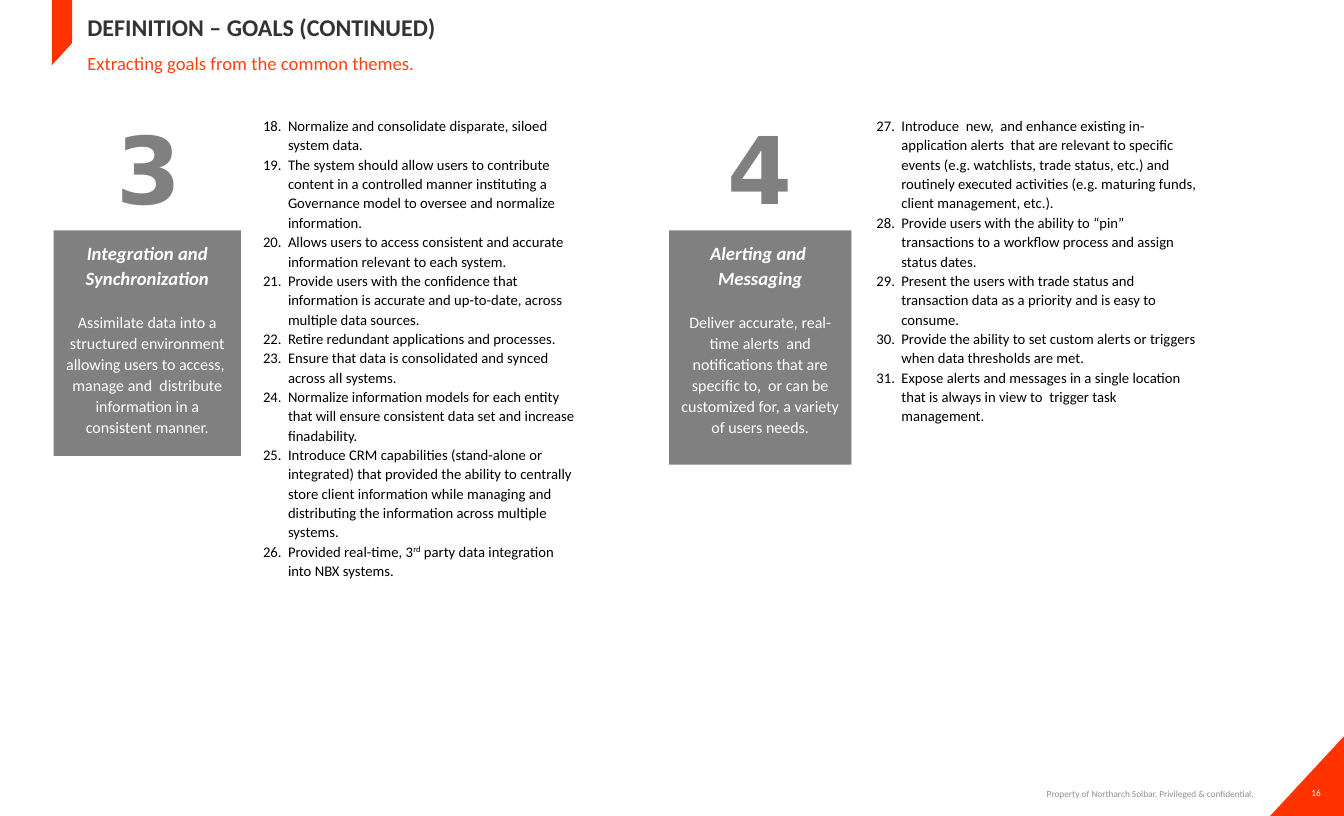
from dataclasses import dataclass

from lxml.etree import SubElement
from pptx import Presentation
from pptx.dml.color import RGBColor as Rgb
from pptx.enum.shapes import MSO_SHAPE as Preset
from pptx.enum.text import MSO_ANCHOR as Anchor, PP_ALIGN as Align
from pptx.oxml.ns import qn
from pptx.shapes.autoshape import Shape
from pptx.slide import Slide
from pptx.text.text import TextFrame, _Paragraph as Paragraph
from pptx.util import Inches, Pt


@dataclass(frozen=True)
class Theme:
    body_font: str = "Calibri"
    numeral_font: str = "DejaVu Sans"
    accent: str = "FF3300"
    subtitle: str = "FF4215"
    title: str = "333333"
    panel: str = "808080"
    footer: str = "909090"
    ink: str = "000000"
    white: str = "FFFFFF"
    title_size: int = 18
    heading_size: int = 14
    summary_size: int = 12
    goal_size: int = 11
    footer_size: int = 7
    numeral_size: int = 70
    line_spacing: float = 1.1


@dataclass(frozen=True)
class Box:
    left: float
    top: float
    width: float
    height: float

    def lengths(self) -> tuple[int, ...]:
        return tuple(Inches(v) for v in (self.left, self.top, self.width, self.height))


@dataclass(frozen=True)
class Theme_Goals:
    numeral: str
    heading: tuple[str, ...]
    summary: str
    first_goal: int
    goals: tuple[str, ...]
    numeral_box: Box
    panel_box: Box
    goals_box: Box


THEME = Theme()
SUPERSCRIPT = "^"
LABEL_INSETS = (0.06, 0.03, 0.06, 0.03)

SECTIONS = (
    Theme_Goals(
        "3",
        ("Integration and Synchronization",),
        "Assimilate data into a structured environment allowing users to access,  "
        "manage and  distribute information in a consistent manner.",
        18,
        (
            "Normalize and consolidate disparate, siloed system data.",
            "The system should allow users to contribute content in a controlled manner "
            "instituting a Governance model to oversee and normalize information.",
            "Allows users to access consistent and accurate information relevant to each system.",
            "Provide users with the confidence that information is accurate and up-to-date, "
            "across multiple data sources.",
            "Retire redundant applications and processes.",
            "Ensure that data is consolidated and synced across all systems.",
            "Normalize information models for each entity that will ensure consistent data set "
            "and increase finadability.",
            "Introduce CRM capabilities (stand-alone or integrated) that provided the ability to "
            "centrally store client information while managing and distributing the information "
            "across multiple systems.",
            "Provided real-time, 3^rd^ party data integration into NBX systems.",
        ),
        Box(0.78, 0.85, 1.55, 1.79),
        Box(0.56, 2.4, 1.95, 2.35),
        Box(2.74, 1.2, 3.28, 1.77),
    ),
    Theme_Goals(
        "4",
        ("Alerting and ", "Messaging"),
        "Deliver accurate, real-time alerts  and notifications that are specific to,  "
        "or can be customized for, a variety of users needs.",
        27,
        (
            "Introduce  new,  and enhance existing in-application alerts  that are relevant to "
            "specific events (e.g. watchlists, trade status, etc.) and routinely executed "
            "activities (e.g. maturing funds, client management, etc.).",
            "Provide users with the ability to “pin” transactions to a workflow process "
            "and assign status dates.",
            "Present the users with trade status and transaction data as a priority "
            "and is easy to consume.",
            "Provide the ability to set custom alerts or triggers when data thresholds are met.",
            "Expose alerts and messages in a single location that is always in view to  "
            "trigger task management.",
        ),
        Box(6.97, 0.85, 1.9, 1.79),
        Box(6.97, 2.4, 1.9, 2.44),
        Box(9.13, 1.2, 3.37, 1.77),
    ),
)


def style(line: Paragraph, size: int, color: str, align: Align = Align.LEFT,
          bold: bool = False, italic: bool = False, face: str = THEME.body_font) -> None:
    line.alignment = align
    font = line.font
    font.name, font.size, font.bold, font.italic = face, Pt(size), bold, italic
    font.color.rgb = Rgb.from_string(color)


def set_frame(frame: TextFrame, insets: tuple[float, ...],
              anchor: Anchor = Anchor.TOP, wrap: bool = True) -> None:
    frame.word_wrap = wrap
    frame.vertical_anchor = anchor
    (frame.margin_left, frame.margin_top,
     frame.margin_right, frame.margin_bottom) = map(Inches, insets)


def paint(shape: Shape, color: str | None) -> None:
    shape.shadow.inherit = False
    shape.line.fill.background()
    if color:
        shape.fill.solid()
        shape.fill.fore_color.rgb = Rgb.from_string(color)
    else:
        shape.fill.background()


def add_label(slide: Slide, box: Box, text: str, size: int, color: str,
              align: Align = Align.LEFT, bold: bool = False,
              anchor: Anchor = Anchor.MIDDLE,
              insets: tuple[float, ...] = LABEL_INSETS) -> None:
    frame = slide.shapes.add_textbox(*box.lengths()).text_frame
    set_frame(frame, insets, anchor)
    frame.text = text
    style(frame.paragraphs[0], size, color, align, bold)


def add_numeral(slide: Slide, section: Theme_Goals) -> None:
    circle = slide.shapes.add_shape(Preset.OVAL, *section.numeral_box.lengths())
    paint(circle, None)
    set_frame(circle.text_frame, (0.1, 0.05, 0.1, 0.05), Anchor.MIDDLE, wrap=False)
    circle.text_frame.text = section.numeral
    style(circle.text_frame.paragraphs[0], THEME.numeral_size, THEME.panel,
          Align.CENTER, bold=True, face=THEME.numeral_font)


def add_panel(slide: Slide, section: Theme_Goals) -> None:
    panel = slide.shapes.add_shape(Preset.RECTANGLE, *section.panel_box.lengths())
    paint(panel, THEME.panel)
    set_frame(panel.text_frame, (0.1,) * 4)
    panel.text_frame.text = "\n".join((*section.heading, section.summary))
    *headings, summary = panel.text_frame.paragraphs
    for heading in headings:
        style(heading, THEME.heading_size, THEME.white, Align.CENTER, bold=True, italic=True)
        heading.line_spacing = THEME.line_spacing
    style(summary, THEME.summary_size, THEME.white, Align.CENTER)
    summary.line_spacing = THEME.line_spacing
    summary.space_before = Pt(16)


def add_goals(slide: Slide, section: Theme_Goals) -> None:
    frame = slide.shapes.add_textbox(*section.goals_box.lengths()).text_frame
    set_frame(frame, (0,) * 4)
    for index, goal in enumerate(section.goals):
        line = frame.add_paragraph() if index else frame.paragraphs[0]
        for part, text in enumerate(goal.split(SUPERSCRIPT)):
            run = line.add_run()
            run.text = text
            if part % 2:
                run._r.get_or_add_rPr().set("baseline", "30000")
        line.line_spacing = THEME.line_spacing
        properties = line._p.get_or_add_pPr()
        properties.set("marL", str(Inches(0.26)))
        properties.set("indent", str(-Inches(0.26)))
        SubElement(properties, qn("a:buFont"), typeface="+mj-lt")
        SubElement(properties, qn("a:buAutoNum"), type="arabicPeriod",
                   startAt=str(section.first_goal))
        style(line, THEME.goal_size, THEME.ink)


def add_frame_art(slide: Slide) -> None:
    corner = slide.shapes.add_shape(Preset.RIGHT_TRIANGLE, *Box(13.2, 7.7, 0.83, 0.77).lengths())
    corner.rotation = 270
    paint(corner, THEME.accent)
    outline = slide.shapes.build_freeform(Inches(0.54), 0)
    outline.add_line_segments(
        [(Inches(x), Inches(y)) for x, y in ((0.75, 0), (0.75, 0.45), (0.54, 0.68))])
    paint(outline.convert_to_shape(), THEME.accent)


def main() -> None:
    deck = Presentation()
    deck.slide_width, deck.slide_height = Inches(14), Inches(8.5)
    slide = deck.slides.add_slide(deck.slide_layouts[6])
    add_frame_art(slide)
    add_label(slide, Box(9.96, 8.11, 3.1, 0.32),
              "Property of Northarch Solbar. Privileged & confidential.",
              THEME.footer_size, THEME.footer, Align.RIGHT, insets=(0.08, 0.04, 0, 0.04))
    add_label(slide, Box(13.45, 8.17, 0.52, 0.18), "16",
              THEME.footer_size, THEME.white, Align.CENTER)
    add_label(slide, Box(0.85, 0, 11.81, 0.56), "DEFINITION – GOALS (CONTINUED)",
              THEME.title_size, THEME.title, bold=True)
    add_label(slide, Box(0.85, 0.51, 11.81, 0.56), "Extracting goals from the common themes.",
              THEME.heading_size, THEME.subtitle, anchor=Anchor.TOP)
    for section in SECTIONS:
        add_numeral(slide, section)
        add_panel(slide, section)
        add_goals(slide, section)
    deck.save("out.pptx")


if __name__ == "__main__":
    main()
